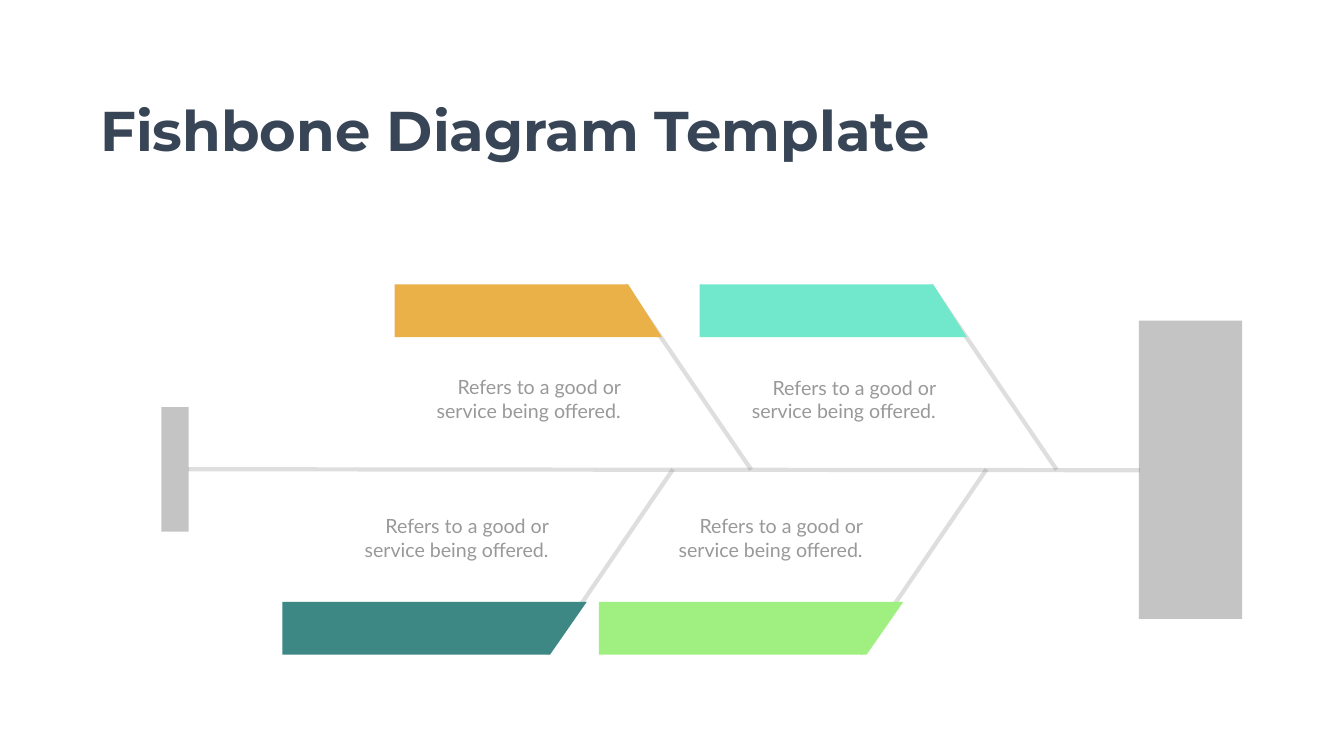
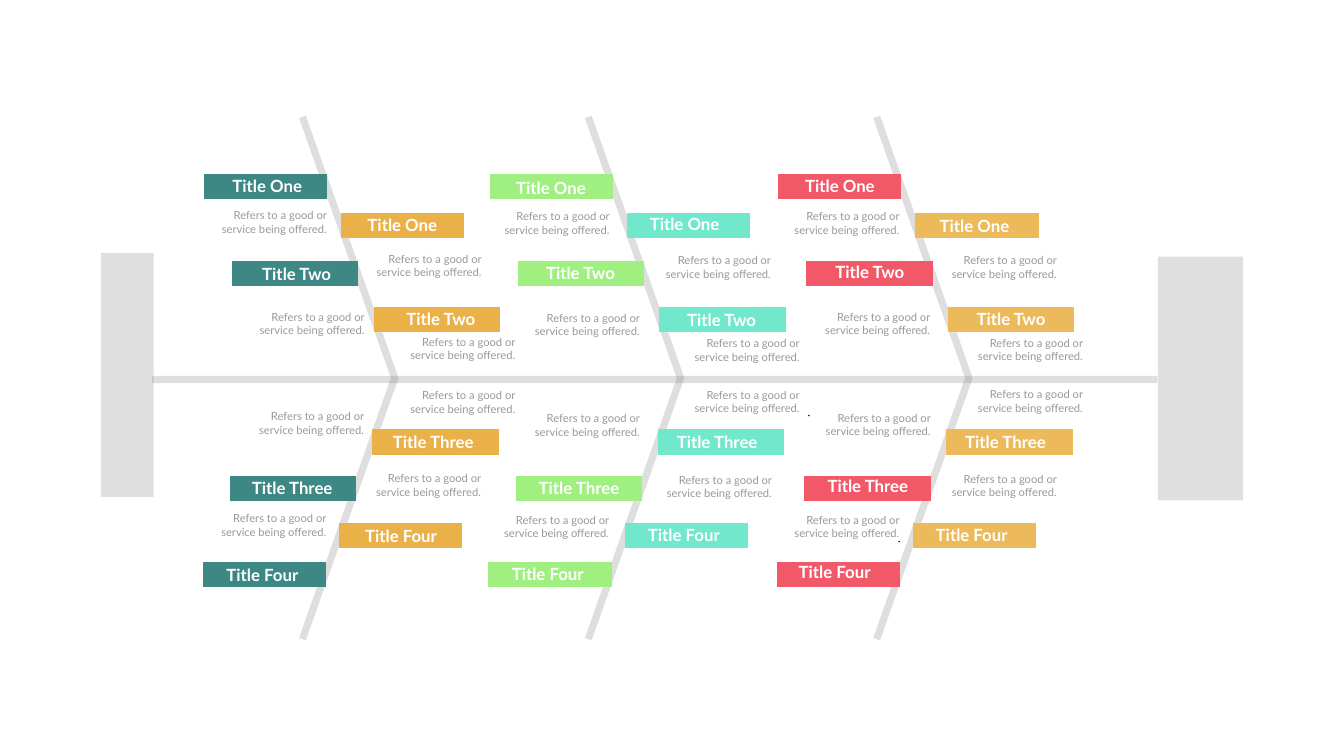
from lxml import etree
from pptx import Presentation
from pptx.dml.color import RGBColor
from pptx.enum.shapes import MSO_CONNECTOR, MSO_SHAPE
from pptx.enum.text import MSO_AUTO_SIZE, PP_ALIGN
from pptx.oxml.ns import qn
from pptx.util import Inches, Pt

# Colours
BACKGROUND, NAVY, GRAY, TEXT_GRAY, WHITE = "FEFFFE", "374556", "808080", "999999", "FFFFFF"
AMBER, TEAL, GREEN, MINT = "EAB149", "3D8884", "A0F081", "71E8CC"
CORAL, SAND, INK = "F15968", "ECB95B", "242021"

DESCRIPTION = "Refers to a good or service being offered."


def rgb(value):
    return RGBColor.from_string(value)


class Deck:
    """Holds the shared style and the current slide."""

    def __init__(self):
        self.presentation = Presentation()
        self.presentation.slide_width = Inches(26.66)
        self.presentation.slide_height = Inches(15)
        self.slide = None

    def new_slide(self):
        self.slide = self.presentation.slides.add_slide(self.presentation.slide_layouts[6])
        fill = self.slide.background.fill
        fill.solid()
        fill.fore_color.rgb = rgb(BACKGROUND)

    @staticmethod
    def set_opacity(properties, percent):
        if percent < 100:
            for color in properties.iter(qn("a:srgbClr")):
                etree.SubElement(color, qn("a:alpha")).set("val", str(percent * 1000))

    def paint(self, shape, color, opacity):
        shape.shadow.inherit = False
        shape.fill.solid()
        shape.fill.fore_color.rgb = rgb(color)
        shape.line.fill.background()
        self.set_opacity(shape._element.spPr, opacity)

    def stroke(self, shape, color, width, opacity):
        shape.line.color.rgb = rgb(color)
        shape.line.width = Pt(width)
        self.set_opacity(shape._element.spPr, opacity)

    def line(self, start, end, width, color=GRAY, opacity=25):
        ends = [Inches(value) for value in (*start, *end)]
        connector = self.slide.shapes.add_connector(MSO_CONNECTOR.STRAIGHT, *ends)
        self.stroke(connector, color, width, opacity)
        etree.SubElement(connector._element.spPr, qn("a:effectLst"))

    def outline(self, points, close):
        corners = [(Inches(x), Inches(y)) for x, y in points]
        builder = self.slide.shapes.build_freeform(*corners[0])
        builder.add_line_segments(corners[1:], close=close)
        return builder.convert_to_shape()

    def polygon(self, points, color):
        self.paint(self.outline(points, True), color, 100)

    def polyline(self, points, width):
        shape = self.outline(points, False)
        shape.shadow.inherit = False
        shape.fill.background()
        self.stroke(shape, GRAY, width, 25)

    def preset(self, left, top, width, height, color=GRAY, opacity=100, kind=MSO_SHAPE.RECTANGLE):
        box = [Inches(value) for value in (left, top, width, height)]
        self.paint(self.slide.shapes.add_shape(kind, *box), color, opacity)

    def text(self, content, left, top, width, height, size, color, font="Lato",
             bold=False, align=PP_ALIGN.LEFT, wrap=True):
        box = [Inches(value) for value in (left, top, width, height)]
        frame = self.slide.shapes.add_textbox(*box).text_frame
        frame.word_wrap = wrap
        frame.auto_size = MSO_AUTO_SIZE.SHAPE_TO_FIT_TEXT
        paragraph = frame.paragraphs[0]
        paragraph.alignment = align
        run = paragraph.add_run()
        run.text = content
        run.font.name = font
        run.font.size = Pt(size)
        run.font.bold = bold
        run.font.color.rgb = rgb(color)

    def title(self, content):
        self.text(content, 1.89, 1.85, 16.71, 1.45, 80, NAVY, "Montserrat", bold=True, wrap=False)

    def description(self, left, top, width, height, size):
        self.text(DESCRIPTION, left, top, width, height, size, TEXT_GRAY, align=PP_ALIGN.RIGHT)

    def label(self, content, left, top, width):
        self.text(content, left, top, width, 0.5, 24, WHITE, bold=True, align=PP_ALIGN.CENTER)


def build_simple_fishbone(deck):
    deck.new_slide()

    # Backbone and ribs
    deck.line((3.73, 9.31), (22.61, 9.33), 6)
    for joint in (20.96, 14.9):
        deck.line((joint, 9.32), (joint - 2.5, 5.65), 6)
    for joint in (19.57, 13.35):
        deck.line((joint - 2.5, 12.98), (joint, 9.31), 6)

    # Slanted bands: left, top, upper width, lower width, colour
    bands = [
        (7.83, 5.64, 4.63, 5.3, AMBER),
        (5.6, 11.94, 6.04, 5.31, TEAL),
        (11.88, 11.94, 6.04, 5.31, GREEN),
        (13.88, 5.64, 4.63, 5.3, MINT),
    ]
    for left, top, upper, lower, color in bands:
        bottom = top + 1.05
        deck.polygon([(left, top), (left + upper, top), (left + lower, bottom), (left, bottom)], color)

    # Head and tail
    deck.preset(22.59, 6.36, 2.05, 5.92, opacity=46)
    deck.preset(3.2, 8.08, 0.54, 2.47, opacity=46)

    # Texts
    deck.title("Fishbone Diagram Template")
    for left, top in ((8.48, 7.39), (7.05, 10.15), (14.73, 7.4), (13.28, 10.15)):
        deck.description(left, top, 3.93, 1.04, 28)


# Fishbones: top of the rib, colour of the left bars, colour of the right bars
FISHBONES = [(6, TEAL, AMBER), (11.67, GREEN, MINT), (17.39, CORAL, SAND)]
LABEL_WIDTHS = {"Title One": 2.08, "Title Two": 2.17, "Title Three": 2.37, "Title Four": 2.13}
LEFT, RIGHT = 0, 1

# Bars: label, side, offset from the rib top, width, height on the slide,
# then label places and description places for each fishbone
BARS = [
    ("Title One", LEFT, -1.96, 2.45, 3.7,
     [(4.26, 3.43), (9.89, 3.47), (15.62, 3.44)], [(4.07, 4.09), (9.68, 4.11), (15.43, 4.11)]),
    ("Title Two", LEFT, -1.4, 2.51, 5.42,
     [(4.8, 5.18), (10.43, 5.17), (16.17, 5.15)], [(4.82, 6.1), (10.28, 6.12), (16.04, 6.1)]),
    ("Title One", RIGHT, 0.76, 2.45, 4.47,
     [(6.94, 4.21), (12.54, 4.19), (18.29, 4.24)], [(7.14, 4.95), (12.88, 4.98), (18.55, 4.98)]),
    ("Title Two", RIGHT, 1.41, 2.51, 6.34,
     [(7.66, 6.08), (13.23, 6.1), (18.97, 6.08)], [(7.81, 6.6), (13.45, 6.63), (19.07, 6.62)]),
    ("Title Four", LEFT, -1.98, 2.45, 11.4,
     [(4.14, 11.15), (9.8, 11.14), (15.49, 11.09)], [(4.06, 10.1), (9.67, 10.13), (15.43, 10.13)]),
    ("Title Three", LEFT, -1.44, 2.51, 9.69,
     [(4.61, 9.42), (10.3, 9.42), (16.03, 9.39)], [(4.81, 8.08), (10.28, 8.12), (16.05, 8.11)]),
    ("Title Four", RIGHT, 0.72, 2.45, 10.63,
     [(6.89, 10.38), (12.5, 10.37), (18.21, 10.37)], [(7.13, 9.31), (12.9, 9.34), (18.55, 9.32)]),
    ("Title Three", RIGHT, 1.38, 2.51, 8.77,
     [(7.41, 8.51), (13.04, 8.51), (18.76, 8.51)], [(7.81, 7.66), (13.45, 7.65), (19.07, 7.64)]),
]


def build_detailed_fishbone(deck):
    deck.new_slide()

    # Backbone, ribs and coloured bars
    deck.line((22.96, 7.53), (3.02, 7.53), 10.25)
    for rib, *colors in FISHBONES:
        deck.polyline([(rib, 2.32), (rib + 1.83, 7.5), (rib, 12.68)], 10.25)
        for _, side, offset, width, height, *_ in BARS:
            start = rib + offset
            deck.line((start + width, height), (start, height), 35.75, colors[side], 100)

    # Tail, head and dots
    deck.preset(2, 5.02, 1.05, 4.84, opacity=25)
    deck.preset(22.97, 5.09, 1.69, 4.84, opacity=25)
    for left, top in ((16.03, 8.23), (17.82, 10.73)):
        deck.preset(left, top, 0.03, 0.03, INK, kind=MSO_SHAPE.OVAL)

    # Texts
    for name, _, _, _, _, label_places, description_places in BARS:
        for left, top in description_places:
            deck.description(left, top, 2.51, 0.64, 16)
        for left, top in label_places:
            deck.label(name, left, top, LABEL_WIDTHS[name])


def main():
    deck = Deck()
    build_simple_fishbone(deck)
    build_detailed_fishbone(deck)
    deck.presentation.save("out.pptx")


if __name__ == "__main__":
    main()
